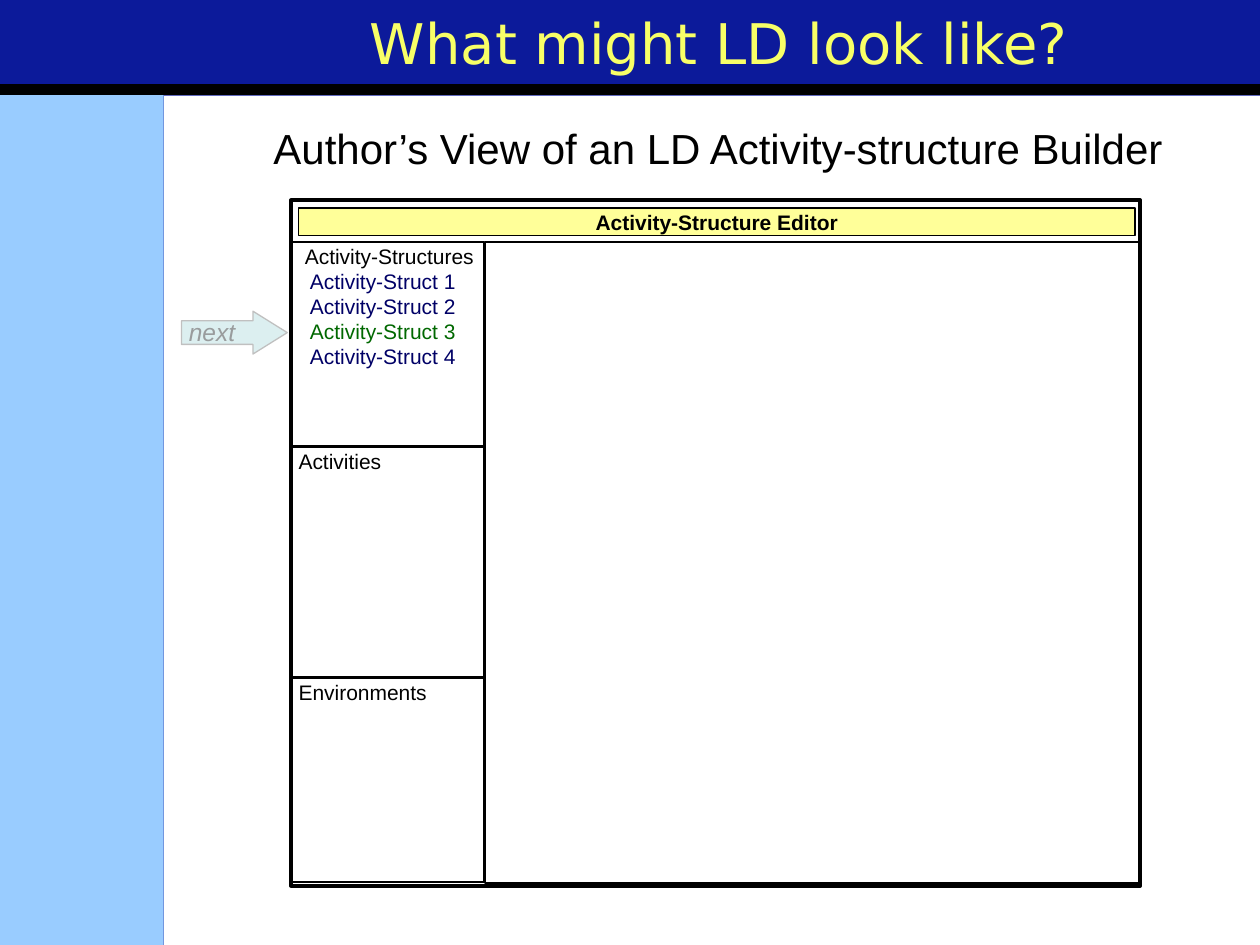
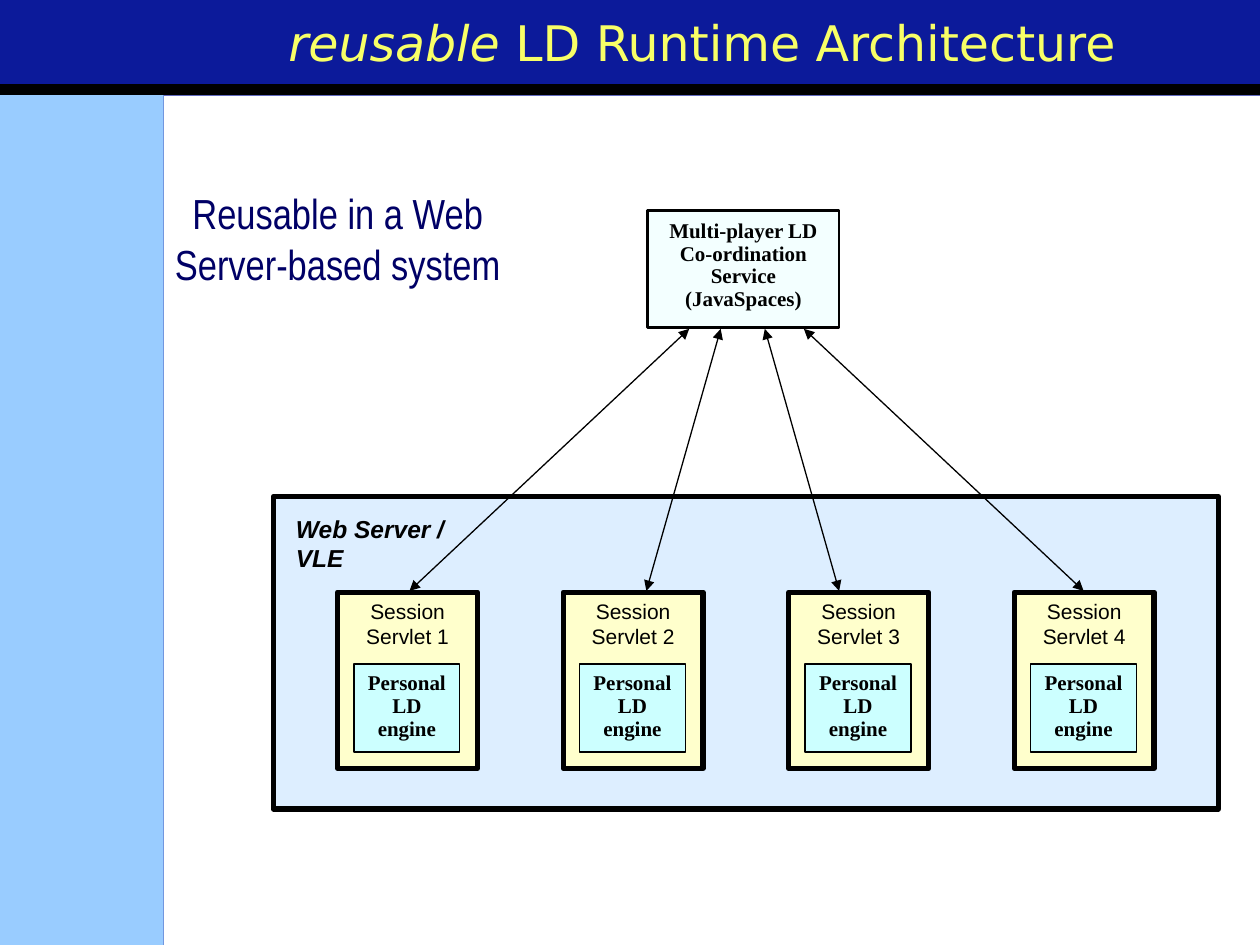
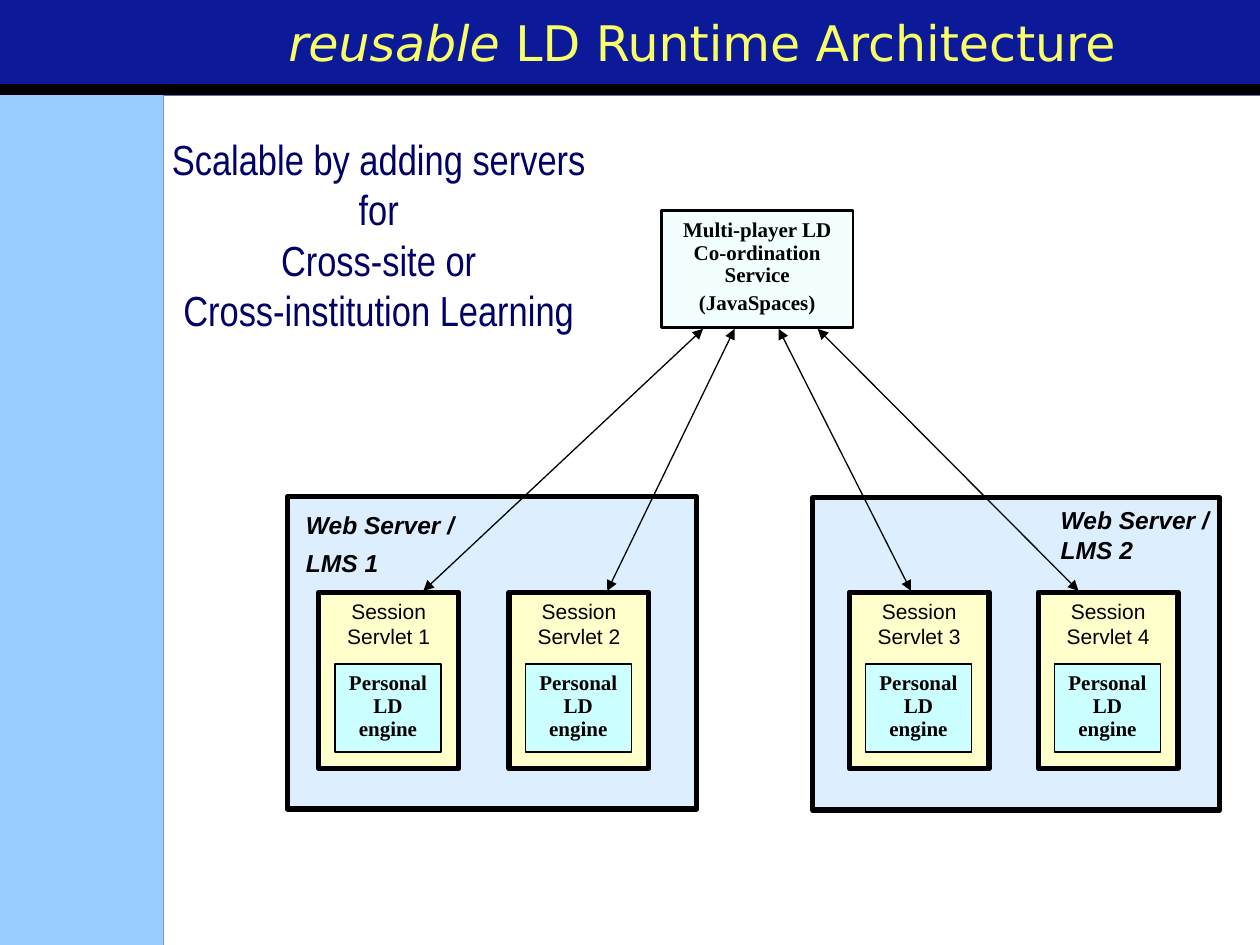
from pptx import Presentation
from pptx import util as u
from pptx.dml.color import RGBColor
from pptx.enum import shapes as kinds, text
from pptx.oxml.ns import qn
from lxml import etree

NAVY = RGBColor(0x0C, 0x1A, 0x9A)
SKY = RGBColor(0x99, 0xCC, 0xFF)
WHITE = RGBColor(0xFF, 0xFF, 0xFF)
BLACK = RGBColor(0x00, 0x00, 0x00)
TITLE_YELLOW = RGBColor(0xF8, 0xFF, 0x67)
EDITOR_YELLOW = RGBColor(0xFF, 0xFF, 0x99)
INK_BLUE = RGBColor(0x00, 0x00, 0x66)
INK_GREEN = RGBColor(0x00, 0x68, 0x00)
SERVER_BLUE = RGBColor(0xDD, 0xEE, 0xFF)
SERVLET_CREAM = RGBColor(0xFF, 0xFF, 0xCC)
ENGINE_CYAN = RGBColor(0xCC, 0xFF, 0xFF)
SERVICE_MINT = RGBColor(0xF3, 0xFF, 0xFF)
NEXT_TEAL = RGBColor(0xBB, 0xE0, 0xE3)
NEXT_LINE = RGBColor(0xC0, 0xC0, 0xC0)
NEXT_GREY = RGBColor(0x99, 0x9C, 0x9D)

# Text styles: font, size, colour, bold, italic
TITLE = ("DejaVu Sans", 32, TITLE_YELLOW, False, False)
TITLE_SMALL = ("DejaVu Sans", 28, TITLE_YELLOW, False, False)
TITLE_ITALIC = ("DejaVu Sans", 28, TITLE_YELLOW, False, True)
HEADING = ("Arial", 24, BLACK, False, False)
CLAIM = ("Arial Narrow", 24, INK_BLUE, False, False)
LABEL = ("Arial", 12, BLACK, False, False)
LABEL_BOLD = ("Arial", 12, BLACK, True, False)
ITEM_BLUE = ("Arial", 12, INK_BLUE, False, False)
ITEM_GREEN = ("Arial", 12, INK_GREEN, False, False)
NEXT = ("Arial", 14, NEXT_GREY, False, True)
SERVER = ("Arial", 14, BLACK, True, True)
ENGINE = ("Times New Roman", 12, BLACK, True, False)

LEFT, CENTER = text.PP_ALIGN.LEFT, text.PP_ALIGN.CENTER
TOP, MIDDLE = text.MSO_ANCHOR.TOP, text.MSO_ANCHOR.MIDDLE
RECT = kinds.MSO_SHAPE.RECTANGLE


def box(shapes, at, fill=None, line=None, color=BLACK, preset=RECT):
    shape = shapes.add_shape(preset, *map(u.Inches, at))
    shape.shadow.inherit = False
    if fill is None:
        shape.fill.background()
    else:
        shape.fill.solid()
        shape.fill.fore_color.rgb = fill
    if line is None:
        shape.line.fill.background()
    else:
        shape.line.color.rgb = color
        shape.line.width = u.Pt(line)
    return shape


def write(shape, lines, align=CENTER, anchor=TOP, inset=(0.1, 0.05), spacing=1):
    """Fill a shape with lines, each a list of (words, style) runs."""
    frame = shape.text_frame
    frame.word_wrap = True
    frame.auto_size = text.MSO_AUTO_SIZE.NONE
    frame.vertical_anchor = anchor
    frame.margin_left = frame.margin_right = u.Inches(inset[0])
    frame.margin_top = frame.margin_bottom = u.Inches(inset[1])
    for number, runs in enumerate(lines):
        paragraph = frame.add_paragraph() if number else frame.paragraphs[0]
        paragraph.alignment = align
        paragraph.line_spacing = spacing
        for words, (face, size, color, bold, italic) in runs:
            run = paragraph.add_run()
            run.text = words
            run.font.name, run.font.size = face, u.Pt(size)
            run.font.bold, run.font.italic = bold, italic
            run.font.color.rgb = color
    return frame.paragraphs


prs = Presentation()
prs.slide_width, prs.slide_height = u.Inches(10), u.Inches(7.5)
background = prs.slide_master.background.fill
background.solid()
background.fore_color.rgb = NAVY
layout = prs.slide_layouts[5]

# Slides and titles
architecture = [("reusable", TITLE_ITALIC), (" LD Runtime Architecture", TITLE_SMALL)]
slides = []
for left, width, runs in [
    (2.07, 7.42, [("What might LD look like? ", TITLE)]),
    (1.65, 7.84, architecture),
    (1.65, 7.84, architecture),
]:
    slide = prs.slides.add_slide(layout)
    title = slide.shapes.title
    title.left, title.top = u.Inches(left), 0
    title.width, title.height = u.Inches(width), u.Inches(0.67)
    write(title, [runs], anchor=MIDDLE)
    slides.append(slide)
builder, reusable, scalable = [slide.shapes for slide in slides]

# Bands shared by all slides, moved into the layout
for order, (at, fill, line) in enumerate([
    ((1.3, 0.76, 8.7, 6.74), WHITE, None),
    ((0, 0.75, 1.3, 6.75), SKY, None),
    ((0, 0.67, 10, 0.08), BLACK, 0.75),
]):
    band = box(builder, at, fill, line).element
    band.nvSpPr.cNvPr.set("id", str(50 + order))
    layout.shapes.element.insert(2 + order, band)

# Slide 1: editor window
box(builder, (2.31, 1.59, 6.74, 5.44), WHITE, 2.25)
editor_bar = box(builder, (2.37, 1.65, 6.64, 0.22), EDITOR_YELLOW, 1)
write(editor_bar, [[("Activity-Structure Editor", LABEL_BOLD)]], inset=(0.06, 0.01))
box(builder, (3.85, 1.92, 5.2, 5.09), line=1)

structures = [[("Activity-Structures", LABEL)]]
for number in range(1, 5):
    structures.append([(f"Activity-Struct {number}", ITEM_GREEN if number == 3 else ITEM_BLUE)])
for top, height, lines in [
    (1.92, 1.62, structures),
    (3.55, 1.82, [[("Activities", LABEL)]]),
    (5.38, 1.62, [[("Environments", LABEL)]]),
]:
    panel = box(builder, (2.31, top, 1.53, height), line=1)
    paragraphs = write(panel, lines, LEFT, inset=(0.06, 0.01))
    if lines is structures:
        for number, paragraph in enumerate(paragraphs):
            indent = u.Inches(0.09 if number else 0.05)
            paragraph._p.get_or_add_pPr().set("marL", str(indent))

# Slide 1: "next" arrow and heading
next_step = builder.add_group_shape().shapes
arrow = box(next_step, (1.44, 2.47, 0.84, 0.34), NEXT_TEAL, 0.75, NEXT_LINE,
            kinds.MSO_SHAPE.RIGHT_ARROW)
arrow.adjustments[0], arrow.adjustments[1] = 0.55, 0.8
tint = arrow.element.spPr.find(qn("a:solidFill"))[0]
etree.SubElement(tint, qn("a:alpha"), val="50000")
next_label = next_step.add_textbox(*map(u.Inches, (1.4, 2.47, 0.64, 0.34)))
write(next_label, [[("next", NEXT)]], LEFT)
heading = builder.add_textbox(*map(u.Inches, (2.01, 0.92, 7.38, 0.5)))
write(heading, [[("Author’s View of an LD Activity-structure Builder", HEADING)]])

# Slides 2 and 3: servers, their session servlets and the shared service
SERVICE_PORTS = (0.33, 0.58, 0.93, 1.24)
for shapes, servers, servlets, arrow_feet, service_left, service_inset, last_spacing in [
    (reusable, [(2.17, 3.94, 7.5, 2.48)], [2.68 + 1.79 * i for i in range(4)],
     (3.25, 5.13, 6.66, 8.6), 5.14, 0.08, 0.9),
    (scalable, [(6.45, 3.95, 3.23, 2.48), (2.28, 3.94, 3.25, 2.48)],
     [2.53, 4.04, 6.74, 8.24], (3.36, 4.82, 7.23, 8.56), 5.25, 0.07, 1.1),
]:
    for at in servers:
        box(shapes, at, SERVER_BLUE, 3)
    for number, left in enumerate(servlets, 1):
        servlet = box(shapes, (left, 4.7, 1.11, 1.4), SERVLET_CREAM, 3)
        write(servlet, [[(f"Session Servlet {number}", LABEL)]])
        engine = box(shapes, (left + 0.13, 5.27, 0.84, 0.7), ENGINE_CYAN, 0.75)
        write(engine, [[("Personal LD engine", ENGINE)]], inset=(0.1, 0.07), spacing=0.9)

    service = box(shapes, (service_left, 1.67, 1.52, 0.93), SERVICE_MINT, 1.5)
    paragraphs = write(service, [[("Multi-player LD Co-ordination Service", ENGINE)],
                                 [("(JavaSpaces)", ENGINE)]],
                       inset=(0.1, service_inset), spacing=0.9)
    paragraphs[1].line_spacing = last_spacing

    for foot, port in zip(arrow_feet, SERVICE_PORTS):
        ends = (foot, 4.69, service_left + port, 2.61)
        link = shapes.add_connector(kinds.MSO_CONNECTOR.STRAIGHT, *map(u.Inches, ends))
        link.line.color.rgb = BLACK
        link.line.width = u.Pt(0.75)
        for end in ("a:headEnd", "a:tailEnd"):
            etree.SubElement(link.line._get_or_add_ln(), qn(end), type="triangle")
        etree.SubElement(link.element.spPr, qn("a:effectLst"))

# Server names and claims
for shapes, at, lines, style, align in [
    (reusable, (2.25, 4.03, 1.41, 0.41), ["Web Server / VLE"], SERVER, LEFT),
    (reusable, (1.26, 1.44, 2.84, 1.31), ["Reusable in a Web Server-based system"], CLAIM, CENTER),
    (scalable, (8.32, 3.96, 1.38, 0.41), ["Web Server / LMS 2"], SERVER, LEFT),
    (scalable, (2.33, 4, 1.51, 0.41), ["Web Server /", "LMS 1"], SERVER, LEFT),
    (scalable, (1.23, 1.01, 3.55, 2.5),
     ["Scalable by adding servers", "for", "Cross-site or", "Cross-institution Learning"],
     CLAIM, CENTER),
]:
    caption = shapes.add_textbox(*map(u.Inches, at))
    paragraphs = write(caption, [[(line, style)] for line in lines], align)
    if style is SERVER:
        for paragraph in paragraphs[1:]:
            paragraph.space_before = u.Pt(5)

prs.save("out.pptx")
